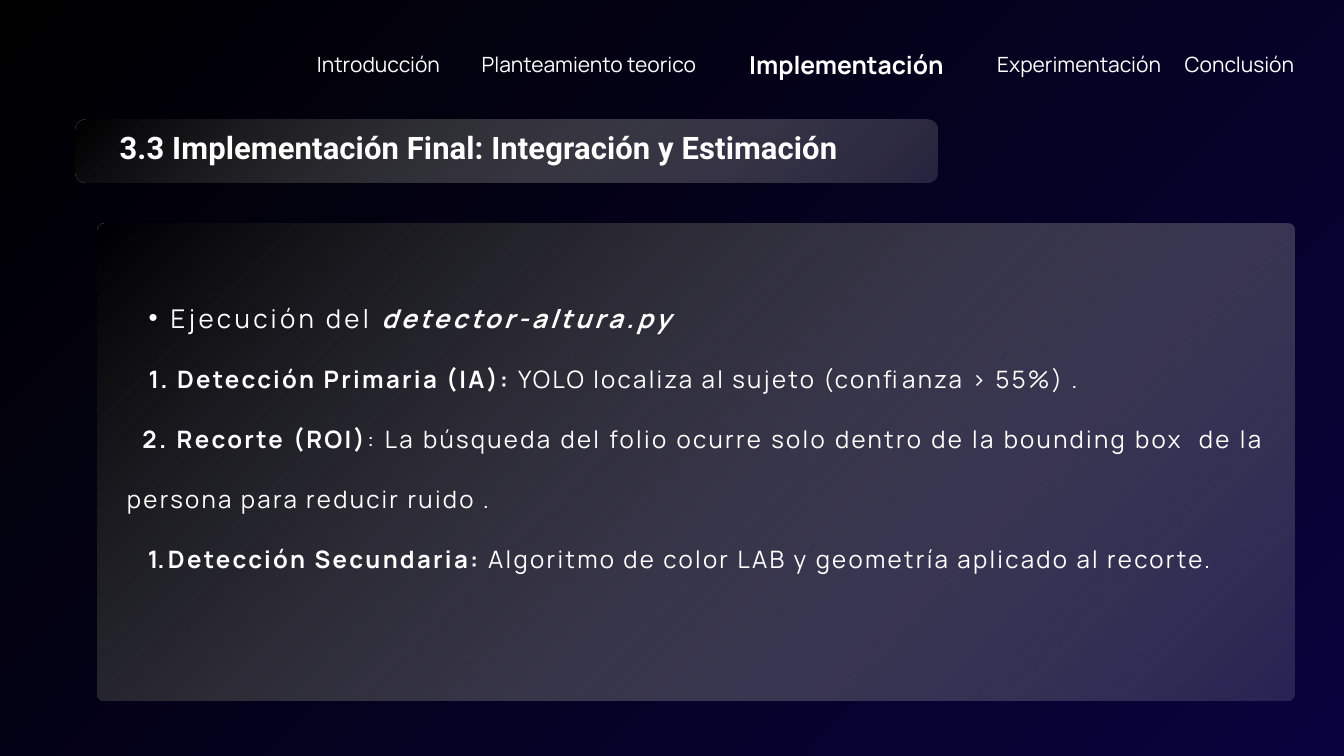
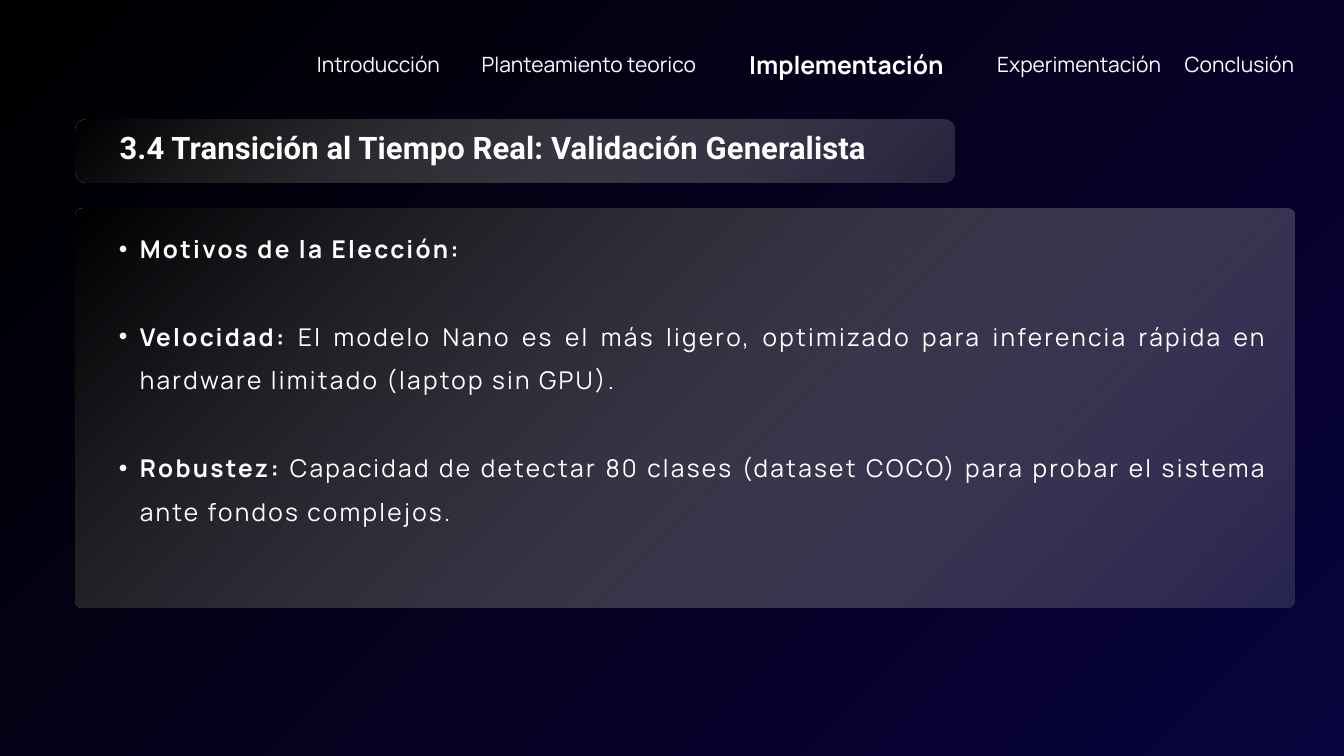
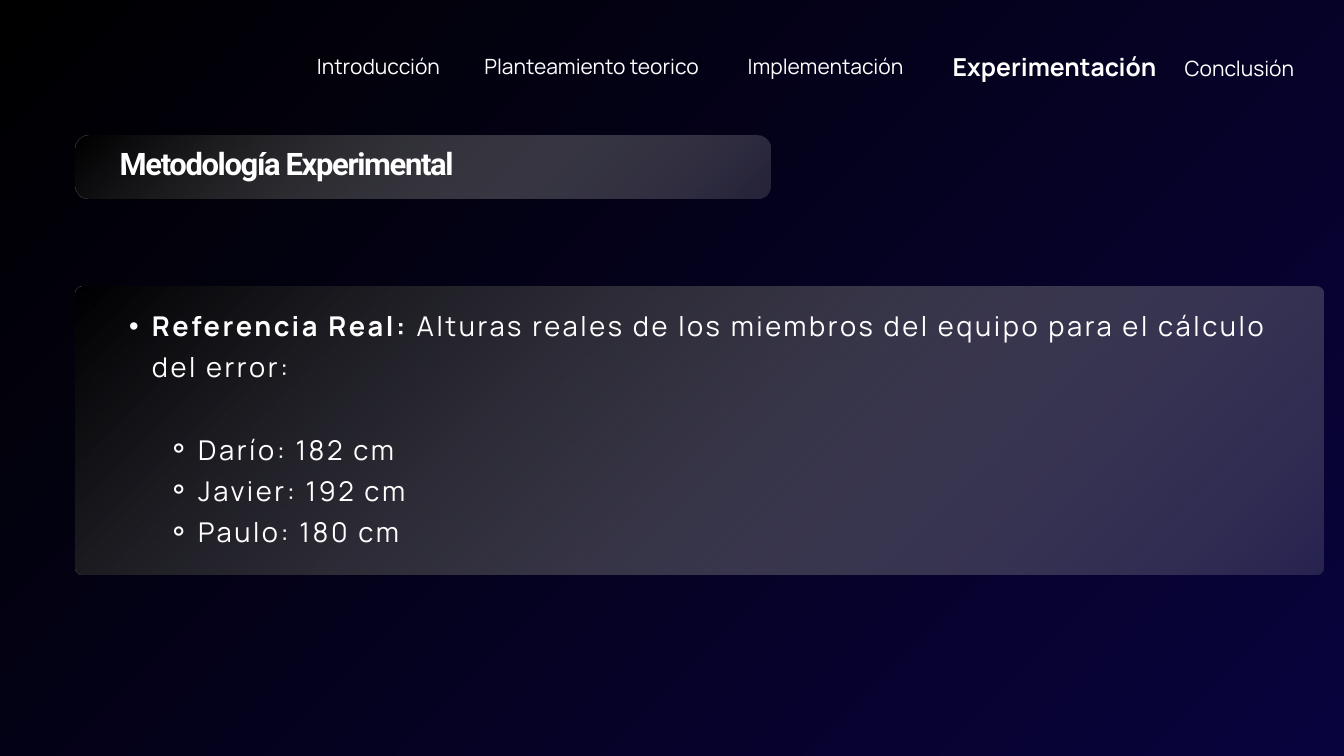
from dataclasses import dataclass

import pptx
import pptx.dml.color
import pptx.enum.shapes
import pptx.enum.text
import pptx.oxml.ns
import pptx.util
from lxml import etree

Inches = pptx.util.Inches
Pt = pptx.util.Pt
RGBColor = pptx.dml.color.RGBColor
qn = pptx.oxml.ns.qn
ALIGN = pptx.enum.text.PP_ALIGN

BLACK = RGBColor(0x00, 0x00, 0x00)
NAVY = RGBColor(0x09, 0x03, 0x3D)
SILVER = RGBColor(0xDD, 0xDD, 0xDD)
WHITE = RGBColor(0xFF, 0xFF, 0xFF)
BODY_FONT = "Manrope"
TITLE_FONT = "Roboto"

SECTIONS = (
    ("Introducción", ALIGN.RIGHT),
    ("Planteamiento teorico", ALIGN.CENTER),
    ("Implementación", ALIGN.CENTER),
    ("Experimentación", ALIGN.RIGHT),
    ("Conclusión", ALIGN.RIGHT),
)
IMPLEMENTATION_NAV = ((3.42, 0.71, 3.13), (6.56, 0.71, 4.41), (10.97, 0.67, 3.25),
                      (14.4, 0.71, 2.88), (16.38, 0.71, 2.88))
EXPERIMENT_NAV = ((3.42, 0.74, 3.13), (6.6, 0.74, 4.41), (10.66, 0.74, 3.25),
                  (13.96, 0.7, 3.25), (16.38, 0.77, 2.88))


@dataclass
class Style:
    """Type size, line pitch and letter spacing, in points."""
    size: float
    leading: float
    tracking: float = 0
    font: str = BODY_FONT


@dataclass
class Entry:
    """One paragraph: (text, marks) runs, with indents in inches."""
    runs: tuple
    style: Style
    bullet: str = ""
    left: float = 0
    first: float = 0
    level: int = 0
    before: float = 0


def paint_gradient(fill, owner, colors, opacities=()):
    """Give a fill two gradient stops and return its XML element."""
    fill.gradient()
    for stop, color in zip(fill.gradient_stops, colors):
        stop.color.rgb = color
    gradient = owner.find(".//" + qn("a:gradFill"))
    for color, opacity in zip(gradient.iter(qn("a:srgbClr")), opacities):
        etree.SubElement(color, qn("a:alpha"), val=str(opacity * 1000))
    return gradient


def paint_background(master):
    """Spread a circular gradient from the top left corner of every slide."""
    gradient = paint_gradient(master.background.fill, master.element, (BLACK, NAVY))
    circle = etree.Element(qn("a:path"))
    circle.set("path", "circle")
    etree.SubElement(circle, qn("a:fillToRect"), r="100000", b="100000")
    gradient.replace(gradient.find(qn("a:lin")), circle)


def add_panel(slide, box, radius):
    """Draw a translucent rounded panel."""
    panel = slide.shapes.add_shape(
        pptx.enum.shapes.MSO_SHAPE.ROUNDED_RECTANGLE, *map(Inches, box))
    panel.adjustments[0] = radius / min(box[2:])
    panel.shadow.inherit = False
    panel.line.fill.background()
    paint_gradient(panel.fill, panel.element, (BLACK, SILVER), (78, 15))
    panel.fill.gradient_angle = 315


def prepare_frame(frame):
    """Remove the margins of a text frame and wrap it from the top."""
    frame.margin_left = frame.margin_top = frame.margin_right = frame.margin_bottom = 0
    frame.word_wrap = True
    frame.auto_size = pptx.enum.text.MSO_AUTO_SIZE.NONE
    frame.vertical_anchor = pptx.enum.text.MSO_ANCHOR.TOP


def add_run(paragraph, text, style, marks=""):
    """Add a white run; marks may hold b for bold and i for italic."""
    run = paragraph.add_run()
    run.text = text
    run.font.name = style.font
    run.font.size = Pt(style.size)
    run.font.color.rgb = WHITE
    run.font.bold = "b" in marks
    run.font.italic = "i" in marks
    run.font._element.set("spc", str(round(style.tracking * 100)))


def add_bullet(properties, bullet):
    """Add a number when the bullet is 1., else the bullet character."""
    etree.SubElement(properties, qn("a:buFont"), typeface="Arial")
    if bullet == "1.":
        etree.SubElement(properties, qn("a:buAutoNum"), type="arabicPeriod")
    else:
        etree.SubElement(properties, qn("a:buChar"), char=bullet)


def add_text(slide, box):
    """Add a text box and return its frame."""
    frame = slide.shapes.add_textbox(*map(Inches, box)).text_frame
    prepare_frame(frame)
    return frame


def add_navigation(slide, places, current):
    """Write the section names with the current one larger and bold."""
    for index, ((section, align), (left, top, width)) in enumerate(zip(SECTIONS, places)):
        active = index == current
        style = Style(26.5, 37.1) if active else Style(22.5, 31.5)
        height = 0.52 if active else 0.45
        paragraph = add_text(slide, (left, top, width, height)).paragraphs[0]
        paragraph.alignment = align
        paragraph.line_spacing = Pt(style.leading)
        add_run(paragraph, section, style, "b" if active else "")


def add_heading(slide, text, box, title_width, radius=0.16, tracking=0.1):
    """Draw the heading band and set the slide title on it."""
    add_panel(slide, box, radius)
    title = slide.shapes.title
    slide.shapes._spTree.append(title.element)
    title.left, title.top = Inches(box[0] + 0.66), Inches(box[1] + 0.21)
    title.width, title.height = Inches(title_width), Inches(0.53)
    prepare_frame(title.text_frame)
    paragraph = title.text_frame.paragraphs[0]
    paragraph.alignment = ALIGN.LEFT
    paragraph.line_spacing = Pt(33.9)
    add_run(paragraph, text, Style(33.2, 33.9, tracking, TITLE_FONT), "b")


def add_content(slide, box, inset, entries):
    """Draw the content panel with its list; inset is dx, dy, width, height."""
    add_panel(slide, box, 0.11)
    dx, dy, width, height = inset
    frame = add_text(slide, (box[0] + dx, box[1] + dy, width, height))
    for index, entry in enumerate(entries):
        paragraph = frame.add_paragraph() if index else frame.paragraphs[0]
        properties = paragraph._p.get_or_add_pPr()
        properties.set("marL", str(Inches(entry.left)))
        properties.set("indent", str(Inches(entry.first)))
        if entry.bullet:
            add_bullet(properties, entry.bullet)
        paragraph.level = entry.level
        paragraph.alignment = ALIGN.JUSTIFY
        paragraph.line_spacing = Pt(entry.style.leading)
        if entry.before:
            paragraph.space_before = Pt(entry.before)
        for text, marks in entry.runs:
            add_run(paragraph, text, entry.style, marks)


def build_integration(slide):
    """Build the slide on the final implementation."""
    lead = Style(27.7, 69.2, 3.6)
    step = Style(25.7, 64.2, 2.5)
    add_content(slide, (1.45, 3.33, 17.81, 7.09), (0.44, 0.67, 16.93, 5.31), (
        Entry((("Ejecución del ", ""), ("detector-altura.py", "bi")),
              lead, "•", 0.65, -0.33, 1),
        Entry((("1. Detección Primaria (IA):", "b"),
               (" YOLO localiza al sujeto (confianza > 55%) .", "")), step, first=0.32),
        Entry((("2. Recorte (ROI)", "b"),
               (": La búsqueda del folio ocurre solo dentro de la bounding box  de la "
                "persona para reducir ruido .", "")), step, first=0.23),
        Entry((("Detección Secundaria:", "b"),
               (" Algoritmo de color LAB y geometría aplicado al recorte.", "")),
              step, "1.", 0.61, -0.3, 1),
    ))
    add_heading(slide, "3.3 Implementación Final: Integración y Estimación",
                (1.12, 1.78, 12.83, 0.94), 14.06)
    add_navigation(slide, IMPLEMENTATION_NAV, 2)


def build_validation(slide):
    """Build the slide on the move to real time."""
    style = Style(26.2, 46.9, 2.5)
    reasons = (
        (("Motivos de la Elección:", "b"),),
        (("Velocidad: ", "b"),
         ("El modelo Nano es el más ligero, optimizado para inferencia rápida en "
          "hardware limitado (laptop sin GPU).", "")),
        (("Robustez: ", "b"),
         ("Capacidad de detectar 80 clases (dataset COCO) para probar el sistema "
          "ante fondos complejos.", "")),
    )
    add_content(slide, (1.12, 3.1, 18.14, 5.94), (0.34, 0.17, 17.42, 5.13), [
        Entry(runs, style, "•", 0.62, -0.31, 1, style.leading if index else 0)
        for index, runs in enumerate(reasons)])
    add_heading(slide, "3.4 Transición al Tiempo Real: Validación Generalista",
                (1.12, 1.78, 13.09, 0.94), 17.1)
    add_navigation(slide, IMPLEMENTATION_NAV, 2)


def build_methodology(slide):
    """Build the slide on the experimental reference heights."""
    style = Style(29.2, 44.1, 2.8)
    heights = ("Darío: 182 cm", "Javier: 192 cm", "Paulo: 180 cm")
    reference = Entry(
        (("Referencia Real: ", "b"),
         ("Alturas reales de los miembros del equipo para el cálculo del error:", "")),
        style, "•", 0.69, -0.34, 1)
    members = [
        Entry(((height, ""),), style, "⚬", 1.38, -0.46, 2, 0 if index else style.leading)
        for index, height in enumerate(heights)]
    add_navigation(slide, EXPERIMENT_NAV, 3)
    add_heading(slide, "Metodología Experimental", (1.12, 2.02, 10.34, 0.94),
                10.91, radius=0.2, tracking=-1.5)
    add_content(slide, (1.12, 4.26, 18.58, 4.29), (0.45, 0.22, 17.3, 3.62),
                [reference, *members])


def main():
    """Build and save the presentation."""
    deck = pptx.Presentation()
    deck.slide_width, deck.slide_height = Inches(20), Inches(11.25)
    paint_background(deck.slide_master)
    for build in (build_integration, build_validation, build_methodology):
        build(deck.slides.add_slide(deck.slide_layouts[5]))
    deck.save("out.pptx")


if __name__ == "__main__":
    main()
